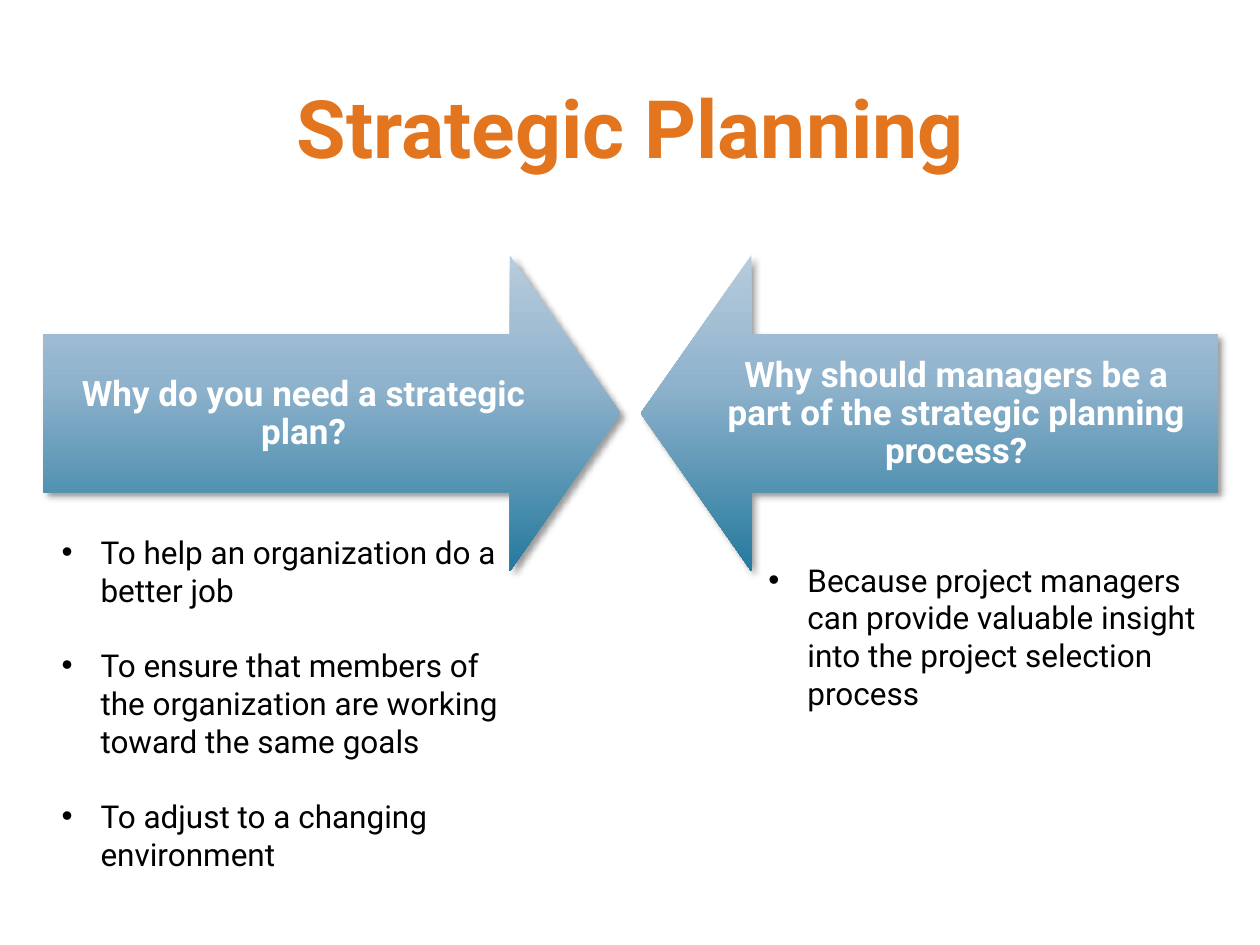
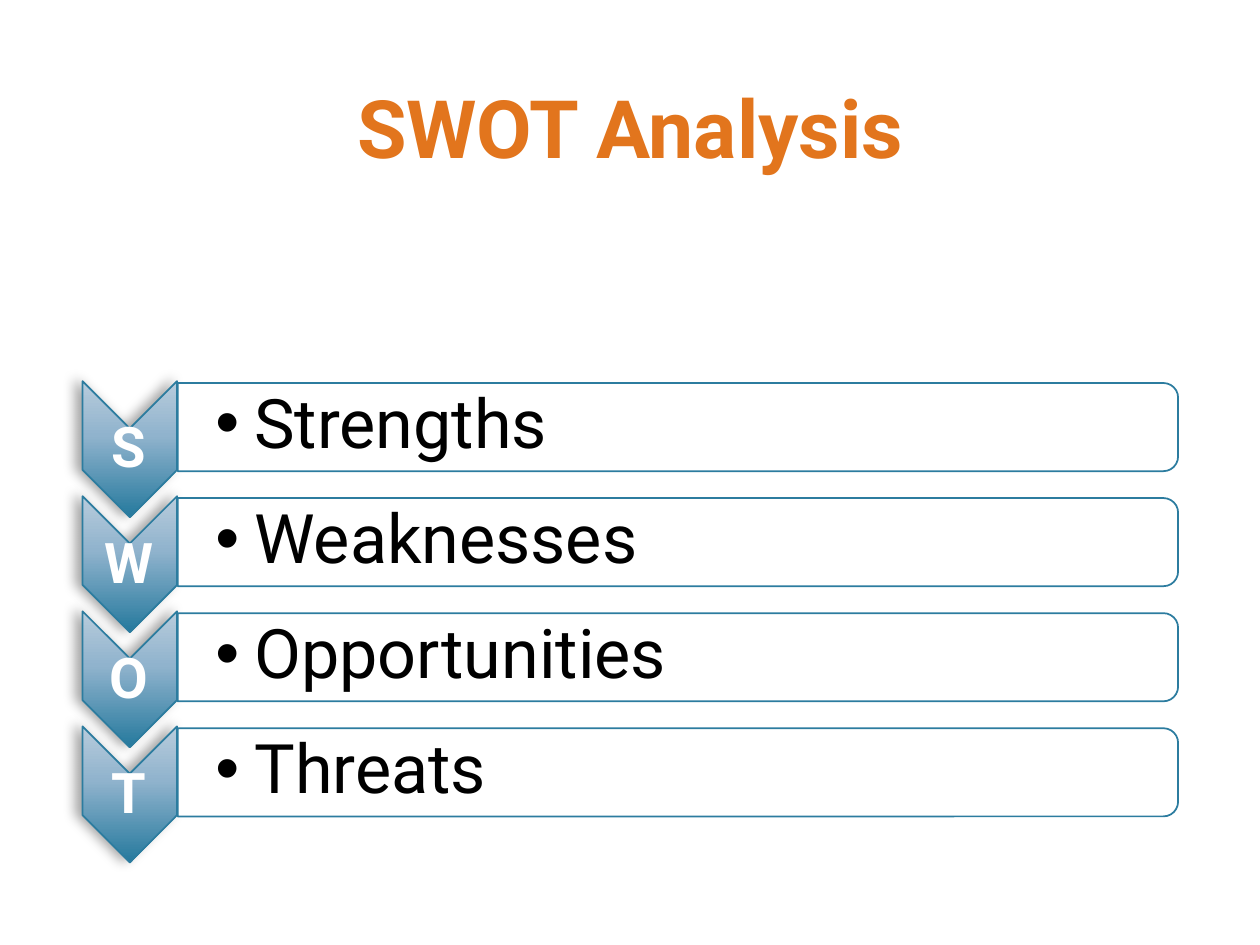
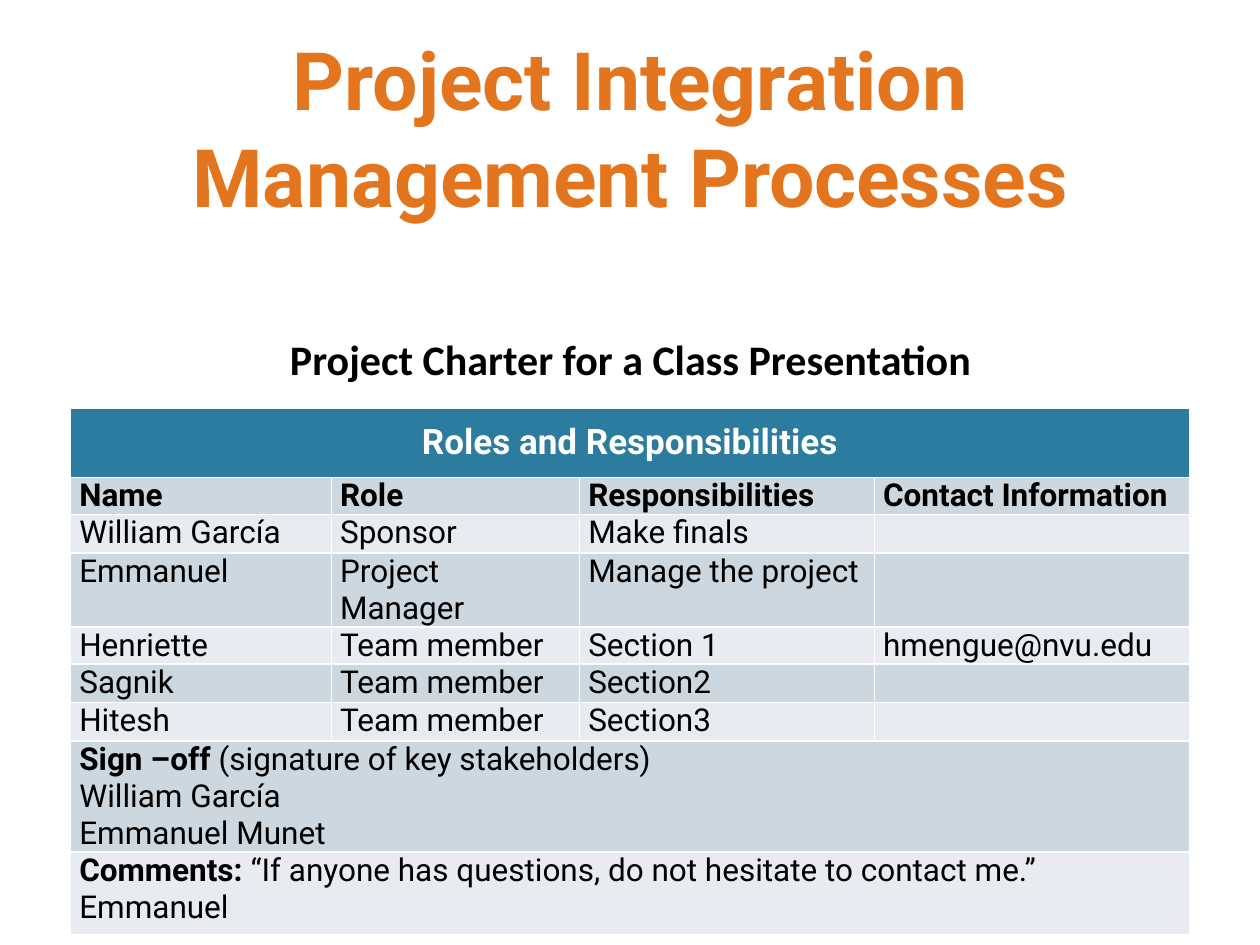
from pptx import Presentation
from pptx.dml.color import RGBColor
from pptx.enum.shapes import MSO_SHAPE
from pptx.enum.text import MSO_ANCHOR, PP_ALIGN
from pptx.oxml import parse_xml
from pptx.oxml.ns import nsdecls, qn
from pptx.util import Inches, Pt
from lxml import etree

DOWN_ARROW, CHEVRON = MSO_SHAPE.DOWN_ARROW, MSO_SHAPE.CHEVRON
BAR = MSO_SHAPE.ROUND_2_SAME_RECTANGLE
LEFT, CENTER, JUSTIFY = PP_ALIGN.LEFT, PP_ALIGN.CENTER, PP_ALIGN.JUSTIFY
TOP, MIDDLE = MSO_ANCHOR.TOP, MSO_ANCHOR.MIDDLE

COLORS = {
    "title": "E2751D", "teal": "2C7C9F", "white": "FFFFFF", "black": "000000",
    "band_dark": "CDD7DF", "band_light": "E8ECF0",
    "grad_light": "B8CCDC", "grad_mid": "90B3CD", "grad_dark": "25799D",
}
GRADIENT = [(0, "grad_light"), (40, "grad_mid"), (100, "grad_dark")]
FONT = "Roboto"
INDENT = 0.31

ARROWS = [
    (1.38, 270, 0.34, "Why do you need a strategic plan?"),
    (6.12, 90, 5.52, "Why should managers be a part of the strategic planning process?"),
]
NEEDS = [
    "To help an organization do a better job",
    "To ensure that members of the organization are working toward the same goals",
    "To adjust to a changing environment",
]
REASON = ("Because project managers can provide valuable insight "
          "into the project selection process")
SWOT = ["Strengths", "Weaknesses", "Opportunities", "Threats"]
SWOT_TOP, SWOT_STEP = 3.19, 2.74 / 3

COL_WIDTHS = [2.07, 1.97, 2.34, 2.5]
ROW_HEIGHTS = [0.55] + [0.26] * 6 + [0.66] * 2
CHARTER = [
    ["Roles and Responsibilities"],
    ["Name", "Role", "Responsibilities", "Contact Information"],
    ["William García", "Sponsor", "Make finals", ""],
    ["Emmanuel", "Project Manager", "Manage the project", ""],
    ["Henriette", "Team member", "Section 1", "hmengue@nvu.edu"],
    ["Sagnik", "Team member", "Section2", ""],
    ["Hitesh", "Team member", "Section3", ""],
    [[[("Sign –off", True), (" (signature of key stakeholders)", False)],
      "William García", "Emmanuel Munet"]],
    [[[("Comments: ", True),
       ("“If anyone has questions, do not hesitate to contact me.” Emmanuel", False)]]],
]


def rgb(name):
    """Return the named colour."""
    return RGBColor.from_string(COLORS[name])


def set_bullet(p):
    """Give a paragraph a hanging bullet."""
    pPr = p._p.get_or_add_pPr()
    pPr.set("marL", str(Inches(INDENT)))
    pPr.set("indent", str(-Inches(INDENT)))
    etree.SubElement(pPr, qn("a:buFont")).set("typeface", "Arial")
    etree.SubElement(pPr, qn("a:buChar")).set("char", "•")


def write(tf, text, size=18, color="black", bold=False, font=FONT, align=LEFT,
          spacing=None, gap=0, bullet=False):
    """Write paragraphs, each a string or a list of (text, bold) runs."""
    for i, item in enumerate([text] if isinstance(text, str) else text):
        p = tf.add_paragraph() if i else tf.paragraphs[0]
        p.alignment = align
        if spacing:
            p.line_spacing = spacing
        if i and gap:
            p.space_before = Pt(gap)
        if bullet:
            set_bullet(p)
        for words, strong in [(item, bold)] if isinstance(item, str) else item:
            r = p.add_run()
            r.text = words
            r.font.name, r.font.size, r.font.bold = font, Pt(size), strong
            r.font.color.rgb = rgb(color)


def add_text(s, box, text, anchor=TOP, insets=(0.1, 0.05, 0.1, 0.05), wrap=True, **style):
    """Add a text box."""
    tf = s.shapes.add_textbox(*map(Inches, box)).text_frame
    tf.word_wrap, tf.vertical_anchor = wrap, anchor
    tf.margin_left, tf.margin_top, tf.margin_right, tf.margin_bottom = map(Inches, insets)
    write(tf, text, **style)


def add_rotated(s, kind, box, rotation, line=None):
    """Add a rotated preset shape with an optional outline."""
    sp = s.shapes.add_shape(kind, *map(Inches, box))
    sp.rotation = rotation
    sp.shadow.inherit = False
    if line:
        sp.line.color.rgb, sp.line.width = rgb(line), Pt(1)
    else:
        sp.line.fill.background()
    return sp


def shade(sp, alpha, blur, dist, angle):
    """Apply the vertical blue gradient and an outer shadow."""
    stops = "".join(f'<a:gs pos="{pos * 1000}"><a:srgbClr val="{COLORS[name]}"/></a:gs>'
                    for pos, name in GRADIENT)
    sp._element.spPr.find(qn("a:prstGeom")).addnext(parse_xml(
        f'<a:gradFill {nsdecls("a")} rotWithShape="0"><a:gsLst>{stops}</a:gsLst>'
        '<a:lin ang="5400000" scaled="0"/></a:gradFill>'))
    sp._element.spPr.find(qn("a:effectLst")).append(parse_xml(
        f'<a:outerShdw {nsdecls("a")} blurRad="{Pt(blur)}" dist="{Pt(dist)}" '
        f'dir="{angle * 60000}" rotWithShape="0"><a:srgbClr val="{COLORS["black"]}">'
        f'<a:alpha val="{alpha * 1000}"/></a:srgbClr></a:outerShdw>'))


def add_slide(prs, title):
    """Add a slide with the shared title style."""
    s = prs.slides.add_slide(prs.slide_layouts[5])
    sp = s.shapes.title
    sp.left, sp.top, sp.width, sp.height = map(Inches, (0.5, 0.38, 9, 1.25))
    sp.text_frame.vertical_anchor = MIDDLE
    write(sp.text_frame, title, size=46, color="title", bold=True, align=CENTER)
    return s


def add_arrow(s, left, rotation, text_left, text):
    """Add a wide shaded arrow and its question."""
    sp = add_rotated(s, DOWN_ARROW, (left, 0.99, 2.51, 4.58), rotation)
    sp.adjustments[0], sp.adjustments[1] = 0.5, 0.35
    shade(sp, alpha=40, blur=4, dist=3, angle=45)
    add_text(s, (text_left, 2.66, 4.14, 1.25), text, anchor=MIDDLE, insets=[0.16] * 4,
             size=20, color="white", bold=True, align=CENTER, spacing=0.9)


def add_swot_row(s, top, word):
    """Add a lettered chevron with its outlined bar."""
    chevron = add_rotated(s, CHEVRON, (0.49, top, 1.08, 0.75), 90, line="teal")
    shade(chevron, alpha=35, blur=7, dist=4, angle=190)
    add_text(s, (0.65, top + 0.22, 0.75, 0.32), word[0], anchor=MIDDLE, insets=[0.02] * 4,
             size=32, color="white", bold=True, align=CENTER, spacing=0.9)
    bar = add_rotated(s, BAR, (5.03, top - 3.77, 0.7, 7.94), 90, line="teal")
    bar.fill.solid()
    bar.fill.fore_color.rgb = rgb("white")
    add_text(s, (1.41, top - 0.12, 7.9, 0.63), word, anchor=MIDDLE,
             insets=(0.3, 0.03, 0.03, 0.03), size=39, spacing=0.9, bullet=True)


def format_cell(cell, fill):
    """Set a cell's fill and margins."""
    cell.fill.solid()
    cell.fill.fore_color.rgb = rgb(fill)
    cell.margin_left = cell.margin_right = Inches(0.07)
    cell.margin_top = cell.margin_bottom = 0


def add_charter(s):
    """Add the project charter table."""
    table = s.shapes.add_table(len(CHARTER), len(COL_WIDTHS), Inches(0.56), Inches(3.24),
                               Inches(sum(COL_WIDTHS)), Inches(sum(ROW_HEIGHTS))).table
    for col, width in zip(table.columns, COL_WIDTHS):
        col.width = Inches(width)
    for i, texts in enumerate(CHARTER):
        table.rows[i].height = Inches(ROW_HEIGHTS[i])
        fill = "teal" if i == 0 else "band_dark" if i % 2 else "band_light"
        for j in range(len(COL_WIDTHS)):
            format_cell(table.cell(i, j), fill)
        if len(texts) == 1:
            table.cell(i, 0).merge(table.cell(i, len(COL_WIDTHS) - 1))
        for j, text in enumerate(texts):
            cell = table.cell(i, j)
            if i == 0:
                cell.vertical_anchor = MIDDLE
                write(cell.text_frame, text, size=20, color="white", bold=True, align=CENTER)
            elif text:
                write(cell.text_frame, text, bold=i == 1,
                      align=LEFT if len(texts) == 1 else JUSTIFY)


def main():
    """Build the deck."""
    prs = Presentation()
    prs.slide_width, prs.slide_height = Inches(10), Inches(7.5)

    s = add_slide(prs, "Strategic Planning")
    for arrow in ARROWS:
        add_arrow(s, *arrow)
    add_text(s, (6, 4.4, 3.61, 1.31), REASON, bullet=True)
    add_text(s, (0.39, 4.18, 3.87, 2.83), NEEDS, bullet=True, gap=21.5)

    s = add_slide(prs, "SWOT Analysis")
    for i, word in enumerate(SWOT):
        add_swot_row(s, SWOT_TOP + i * SWOT_STEP, word)

    s = add_slide(prs, "Project Integration Management Processes")
    add_charter(s)
    add_text(s, (2.17, 2.58, 5.67, 0.81), "Project Charter for a Class Presentation",
             insets=(0.1, 0.07, 0.1, 0.05), wrap=False, size=24, bold=True,
             font="Calibri", align=CENTER)

    prs.save("out.pptx")


if __name__ == "__main__":
    main()
